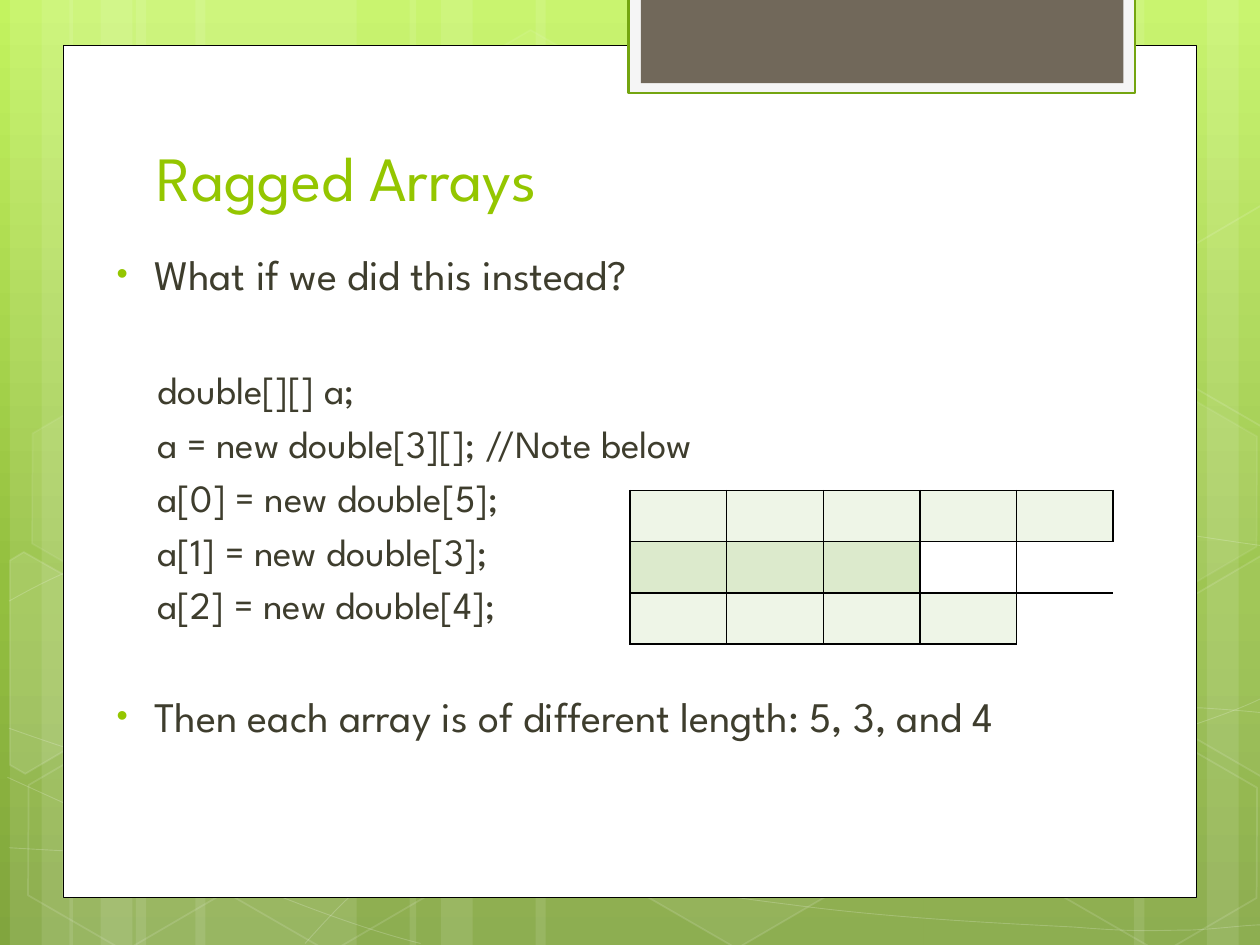
import copy
from dataclasses import dataclass
from typing import Any

import lxml.etree
import pptx
import pptx.dml.color
import pptx.enum.shapes
import pptx.enum.text
import pptx.oxml.ns
import pptx.util

Cm = pptx.util.Cm
Pt = pptx.util.Pt
RGBColor = pptx.dml.color.RGBColor
Shapes = pptx.enum.shapes.MSO_SHAPE
qn = pptx.oxml.ns.qn

FONT = "League Spartan"
PLAIN_TABLE_STYLE = "{2D5ABB26-0587-4C30-8999-92F81FD0307C}"
WHITE = RGBColor(0xFF, 0xFF, 0xFF)
BLACK = RGBColor(0, 0, 0)
GREEN = RGBColor(0x94, 0xC6, 0x00)
DARK_GREEN = RGBColor(0x74, 0xA5, 0x10)
TEXT = RGBColor(0x3E, 0x3D, 0x2D)
TAB_EDGE = RGBColor(0xF5, 0xF5, 0xF5)
TAB = RGBColor(0x71, 0x68, 0x5A)
LIGHT_CELL = RGBColor(0xEE, 0xF5, 0xE7)
MEDIUM_CELL = RGBColor(0xDC, 0xEA, 0xCC)
GRADIENT = [(0, RGBColor(0xC3, 0xF3, 0x5F)), (0.62, RGBColor(0x93, 0xBF, 0x3F)),
            (1, RGBColor(0x81, 0xA5, 0x3E))]


@dataclass
class Style:
    fill: RGBColor | None = None
    fill_alpha: int = 100
    line: RGBColor | None = None
    line_width: float = 1
    line_alpha: int = 100


@dataclass
class Hexagon:
    left: float
    top: float
    fill_alpha: int
    line_alpha: int


@dataclass
class Line:
    text: str
    size: int
    before: float
    left: float
    indent: float = 0
    bullet: str = ""


STRIPES = [(2.74, 4.45), (0.2, 1.27), (0.84, 2.11), (3.94, 4.45), (1.4, 1.27), (2.03, 2.11),
           (18.62, 4.45), (24.33, 1.27), (22.86, 2.11), (10.8, 7.82), (8.26, 1.27), (8.89, 2.11)]
CURVES = [
    [(0.18, 17.09), (1.55, 17.17), (2.92, 17.25), (4.83, 17.22), (6.73, 17.2), (9.09, 17.15),
     (11.63, 16.89), (14.17, 16.64), (17.78, 16.15), (20.12, 15.67), (22.43, 15.19),
     (24.82, 14.43), (25.58, 14)],
    [(0.18, 12.12), (0.91, 11.71), (1.65, 11.33), (3.07, 10.95), (4.52, 10.57), (6.58, 10.01),
     (8.81, 9.83), (11.07, 9.65), (13.82, 9.63), (16.61, 9.83), (19.41, 10.03),
     (24.05, 10.82), (25.58, 11.02)],
    [(0.15, 15.67), (3.23, 17.07), (6.27, 18.47), (8.48, 19.02)],
    [(0.18, 14.68), (0.97, 14.96), (1.78, 15.24), (3.25, 15.65), (4.72, 16.03), (6.93, 16.66),
     (9.07, 17.09), (11.18, 17.53), (13.84, 17.98), (15.95, 18.24), (18.06, 18.52),
     (20.32, 18.62), (21.67, 18.69), (22.99, 18.8), (23.34, 18.75), (24, 18.75),
     (24.66, 18.72), (25.12, 18.64), (25.58, 18.64)],
    [(6.15, 19.02), (6.6, 18.52), (7.06, 18.01), (7.67, 17.55), (8.28, 17.09), (9.14, 16.59),
     (9.86, 16.23), (10.57, 15.88), (11, 15.72), (11.94, 15.47), (12.85, 15.22),
     (14.55, 14.86), (15.44, 14.68), (16.36, 14.5), (16.48, 14.5), (17.27, 14.45),
     (18.06, 14.38), (19.3, 14.3), (20.17, 14.27), (21.06, 14.25), (22.5, 14.27),
     (22.5, 14.27), (23, 14.27), (23.6, 14.27), (24.21, 14.27), (24.66, 14.3),
     (25.1, 14.33), (25.55, 14.38)],
]
HEXAGONS = [Hexagon(8.48, 0.91, 4, 8), Hexagon(12.62, 14.96, 6, 12), Hexagon(0.28, 15.01, 0, 12),
            Hexagon(0.36, 7.92, 7, 8), Hexagon(4.42, 15.04, 0, 12),
            Hexagon(19.13, 11.51, 10, 12), Hexagon(21.18, 15.06, 0, 12),
            Hexagon(21.18, 7.98, 7, 8)]
CUT_HEXAGONS = [
    ([(0.2, 11.3), (0.48, 11.13), (2.44, 12.24), (2.41, 14.48), (0.51, 15.6), (0.2, 15.42)], 10),
    ([(23.52, 12.32), (25.43, 11.2), (25.63, 11.33), (25.63, 15.57), (25.45, 15.67),
      (23.52, 14.55)], 4),
    ([(23.52, 5.26), (25.43, 4.14), (25.65, 4.27), (25.63, 8.51), (25.45, 8.61),
      (23.52, 7.49)], 0),
]
CODE = ["a = new double[3][]; //Note below", "a[0] = new double[5];",
        "a[1] = new double[3];", "a[2] = new double[4];"]
LINES = [Line("What if we did this instead?", 24, 4.5, 0.95, -0.76, "•"),
         Line("double[][] a;", 22, 38.7, 1.02),
         *[Line(text, 22, 4.3, 1.02) for text in CODE],
         Line("Then each array is of different length: 5, 3, and 4", 24, 36, 0.95, -0.76, "•")]
ROW_LENGTHS = [5, 3, 4]


def set_values(target: Any, values: dict[str, Any]) -> None:
    for name, value in values.items():
        setattr(target, name, value)


def paint(fill: Any, color: RGBColor | None, alpha: int) -> None:
    if color is None or alpha == 0:
        fill.background()
        return
    fill.solid()
    fill.fore_color.rgb = color
    if alpha < 100:
        color_element = fill._xPr.find(qn("a:solidFill"))[0]
        lxml.etree.SubElement(color_element, qn("a:alpha"), val=str(alpha * 1000))


def format_shape(shape: Any, style: Style) -> None:
    shape.shadow.inherit = False
    paint(shape.fill, style.fill, style.fill_alpha)
    shape.line.width = Pt(style.line_width)
    paint(shape.line.fill, style.line, style.line_alpha)


def add_box(slide: Any, kind: Any, box: tuple, style: Style) -> Any:
    shape = slide.shapes.add_shape(kind, *map(Cm, box))
    format_shape(shape, style)
    return shape


def add_outline(slide: Any, points: list, style: Style, close: bool) -> Any:
    lengths = [(Cm(x), Cm(y)) for x, y in points]
    builder = slide.shapes.build_freeform(*lengths[0])
    builder.add_line_segments(lengths[1:], close=close)
    shape = builder.convert_to_shape()
    format_shape(shape, style)
    return shape


def add_curve(slide: Any, points: list) -> None:
    shape = add_outline(slide, points, Style(None, 0, WHITE, 0.5, 20), False)
    segments = list(shape._element.iter(qn("a:lnTo")))
    outline = segments[0].getparent()
    for start in range(0, len(segments), 3):
        curve = lxml.etree.SubElement(outline, qn("a:cubicBezTo"))
        for segment in segments[start:start + 3]:
            curve.append(segment[0])
            outline.remove(segment)


def add_background(slide: Any) -> None:
    fill = slide.background.fill
    fill.gradient()
    fill.gradient_angle = 270
    stops = fill._fill._gradFill.find(qn("a:gsLst"))
    stops.append(copy.deepcopy(stops[0]))
    for stop, (position, color) in zip(fill.gradient_stops, GRADIENT):
        stop.position = position
        stop.color.rgb = color


def add_decoration(slide: Any) -> None:
    for left, width in STRIPES:
        add_box(slide, Shapes.RECTANGLE, (left, 0, width, 19.05), Style(WHITE, 10))
    for points in CURVES:
        add_curve(slide, points)
    for hexagon in HEXAGONS:
        shape = add_box(slide, Shapes.HEXAGON, (hexagon.left, hexagon.top, 4.45, 3.86),
                        Style(WHITE, hexagon.fill_alpha, WHITE, 1, hexagon.line_alpha))
        shape.rotation = 30
        shape.adjustments[0] = 0.285
    for points, alpha in CUT_HEXAGONS:
        add_outline(slide, points, Style(WHITE, alpha, WHITE, 1, 12), True)
    for box, style in [((1.27, 0.91, 22.86, 17.19), Style(WHITE, 100, BLACK, 0.5)),
                       ((12.67, -0.05, 10.21, 1.93), Style(TAB_EDGE, 100, DARK_GREEN, 1.25)),
                       ((12.92, -0.05, 9.73, 1.73), Style(TAB))]:
        add_box(slide, Shapes.RECTANGLE, box, style)


def add_text(slide: Any) -> None:
    title = slide.shapes.title
    slide.shapes._spTree.append(title._element)
    set_values(title, {"left": Cm(2.9), "top": Cm(1.27), "width": Cm(19.51), "height": Cm(3.18)})
    title.text_frame.text = "Ragged Arrays"
    title.text_frame.vertical_anchor = pptx.enum.text.MSO_ANCHOR.BOTTOM
    heading = title.text_frame.paragraphs[0]
    heading.alignment = pptx.enum.text.PP_ALIGN.LEFT
    set_values(heading.runs[0].font, {"name": FONT, "size": Pt(36)})
    heading.runs[0].font.color.rgb = GREEN
    frame = slide.shapes.add_textbox(Cm(1.91), Cm(4.88), Cm(21.59), Cm(13.13)).text_frame
    frame.word_wrap = True
    for index, line in enumerate(LINES):
        paragraph = frame.add_paragraph() if index else frame.paragraphs[0]
        paragraph.space_before = Pt(line.before)
        run = paragraph.add_run()
        run.text = line.text
        set_values(run.font, {"name": FONT, "size": Pt(line.size)})
        run.font.color.rgb = TEXT
        properties = paragraph._p.get_or_add_pPr()
        properties.set("marL", str(Cm(line.left)))
        properties.set("indent", str(Cm(line.indent)))
        if line.bullet:
            color = lxml.etree.SubElement(properties, qn("a:buClr"))
            lxml.etree.SubElement(color, qn("a:srgbClr"), val=str(GREEN))
            lxml.etree.SubElement(properties, qn("a:buSzPct"), val="76000")
            lxml.etree.SubElement(properties, qn("a:buFont"), typeface="Arial")
            lxml.etree.SubElement(properties, qn("a:buChar"), char=line.bullet)


def add_array_table(slide: Any) -> None:
    frame = slide.shapes.add_table(3, 5, Cm(12.7), Cm(9.89), Cm(9.74), Cm(3.09))
    table = frame.table
    set_values(table, {"first_row": False, "horz_banding": False})
    next(frame._element.iter(qn("a:tableStyleId"))).text = PLAIN_TABLE_STYLE
    for row, length in enumerate(ROW_LENGTHS):
        above, below = ([0] + ROW_LENGTHS)[row], (ROW_LENGTHS + [0])[row + 1]
        for column in range(5):
            cell = table.cell(row, column)
            properties = cell._tc.get_or_add_tcPr()
            edges = {"a:lnL": column <= length, "a:lnR": column < length,
                     "a:lnT": column < max(length, above), "a:lnB": column < max(length, below)}
            for edge in (name for name, shown in edges.items() if shown):
                border = lxml.etree.SubElement(properties, qn(edge), w=str(Pt(1)))
                fill = lxml.etree.SubElement(border, qn("a:solidFill"))
                lxml.etree.SubElement(fill, qn("a:srgbClr"), val=str(BLACK))
            color = MEDIUM_CELL if row % 2 else LIGHT_CELL
            paint(cell.fill, color if column < length else WHITE, 100)


presentation = pptx.Presentation()
set_values(presentation, {"slide_width": Cm(25.4), "slide_height": Cm(19.05)})
slide = presentation.slides.add_slide(presentation.slide_layouts[5])
add_background(slide)
add_decoration(slide)
add_text(slide)
add_array_table(slide)
presentation.save("out.pptx")
